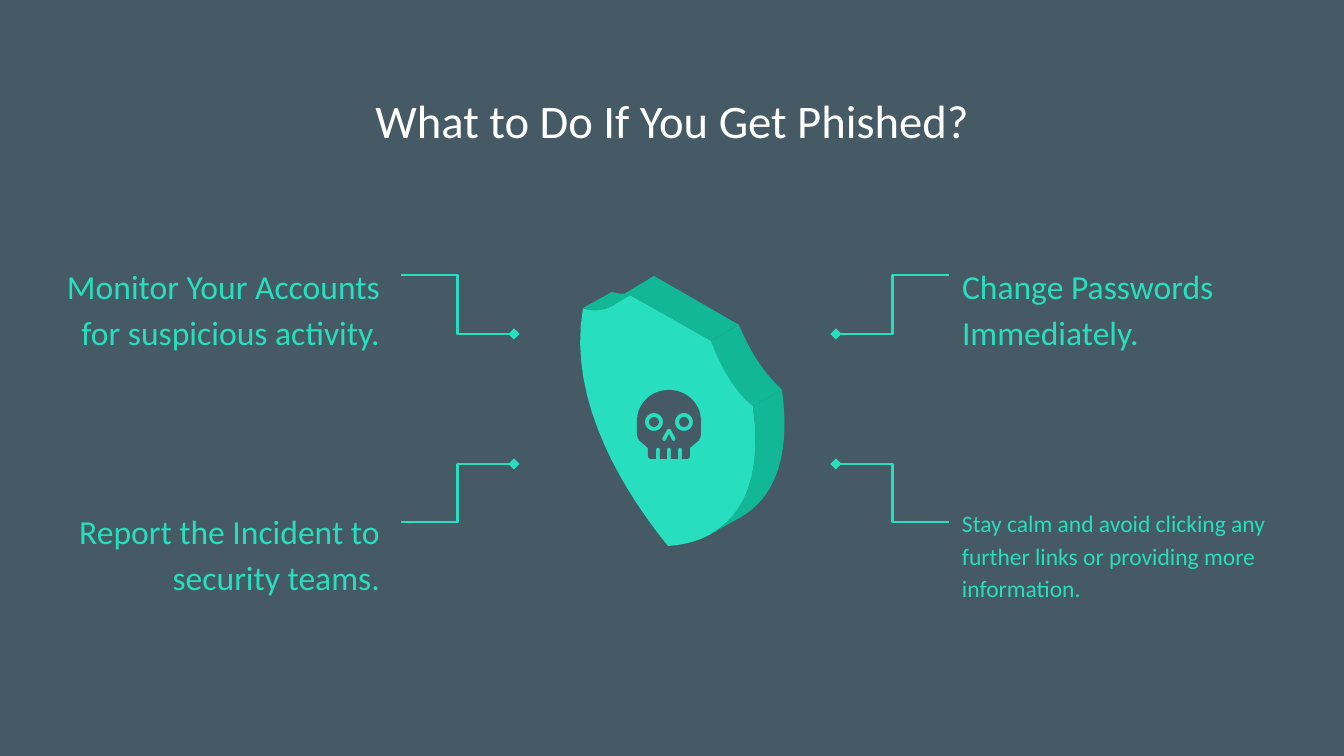
import math

import pptx
import pptx.dml.color
import pptx.enum.shapes
import pptx.enum.text
import pptx.oxml
import pptx.oxml.ns
import pptx.util

PX = 914400 / 134.4  # EMU in one px
FONT = "Calibri"
SLATE = pptx.dml.color.RGBColor(0x45, 0x5A, 0x64)
MINT = pptx.dml.color.RGBColor(0x27, 0xDE, 0xBF)
GREEN = pptx.dml.color.RGBColor(0x11, 0xB7, 0x97)
WHITE = pptx.dml.color.RGBColor(0xFF, 0xFF, 0xFF)
ALIGN = pptx.enum.text.PP_ALIGN
INSET = 13


def emu(*lengths):
    return [pptx.util.Emu(round(v * PX)) for v in lengths]


def paint(sp, color):
    sp.fill.solid()
    sp.fill.fore_color.rgb = color
    sp.line.fill.background()
    sp.shadow.inherit = False


def write(tf, text, size, color, align):
    tf.word_wrap = True
    tf.auto_size = pptx.enum.text.MSO_AUTO_SIZE.NONE
    tf.vertical_anchor = pptx.enum.text.MSO_ANCHOR.TOP
    (inset,) = emu(INSET)
    tf.margin_left = tf.margin_top = tf.margin_right = tf.margin_bottom = inset
    p = tf.paragraphs[0]
    p.text = text
    p.alignment = align
    p.font.name = FONT
    p.font.size = pptx.util.Pt(size)
    p.font.color.rgb = color
    return p


def flatten(steps, count=16):
    """Turn (x, y) lines and (x1, y1, x2, y2, x, y) curves into points."""
    points = [steps[0]]
    for step in steps[1:]:
        if len(step) == 2:
            points.append(step)
            continue
        knots = [points[-1], step[:2], step[2:4], step[4:]]
        for i in range(1, count + 1):
            t = i / count
            weights = ((1 - t) ** 3, 3 * t * (1 - t) ** 2, 3 * t * t * (1 - t), t ** 3)
            points.append(tuple(sum(w * k[axis] for w, k in zip(weights, knots))
                                for axis in (0, 1)))
    return points


def outline(s, left, top, contours, color):
    """Draw one filled shape; contours after the first are holes."""
    builder = None
    for steps in contours:
        points = [emu(left + x, top + y) for x, y in flatten(steps)]
        if builder is None:
            builder = s.shapes.build_freeform(*points[0], scale=1.0)
        else:
            builder.move_to(*points[0])
        builder.add_line_segments(points[1:], close=True)
    paint(builder.convert_to_shape(), color)


def add_title(s, box, text):
    title = s.shapes.title
    title.left, title.top, title.width, title.height = emu(*box)
    write(title.text_frame, text, 25, WHITE, ALIGN.CENTER).line_spacing = 1.0


def add_callout(s, box, text, size, align):
    tf = s.shapes.add_textbox(*emu(*box)).text_frame
    p = write(tf, text, size, MINT, align)
    p.line_spacing = 1.15
    p.space_after = pptx.util.Pt(12)


def add_elbow(s, start, end):
    line = s.shapes.add_connector(pptx.enum.shapes.MSO_CONNECTOR.ELBOW,
                                  *emu(*start, *end))
    line.line.color.rgb = MINT
    line.line.width = pptx.util.Pt(1.5)
    ns = pptx.oxml.ns.nsdecls("a")
    ln = line.line._get_or_add_ln()
    ln.append(pptx.oxml.parse_xml(f'<a:headEnd {ns} type="diamond"/>'))
    ln.addnext(pptx.oxml.parse_xml(f"<a:effectLst {ns}/>"))


def add_shield(s, left, top):
    # Corners shared by the faces
    notch, shoulder, back_shoulder = (46, 17), (131, 65), (159, 49)
    hip, back_hip = (173, 130), (202, 114)
    faces = [
        # Top edge
        ([(74, 0), notch, shoulder, back_shoulder], GREEN),
        # Shoulder edge
        ([back_shoulder, shoulder, (148, 112, 171, 129, *hip), back_hip,
          (201, 112, 178, 95, *back_shoulder)], GREEN),
        # Front
        ([notch, (36, 32, 23, 34, 15, 34), (9, 34, 3, 33, 3, 32),
          (-14, 127, 48, 221, 88, 270), (127, 268, 189, 244, *hip),
          (171, 129, 148, 112, *shoulder)], MINT),
        # Left lip
        ([(61, 13), (50, 18, 41, 19, 32, 16), (3, 32),
          (9, 35, 21, 36, 32, 30)], GREEN),
        # Right edge
        ([back_hip, hip, (183, 204, 161, 240, 132, 257), (161, 241),
          (190, 224, 212, 188, *back_hip)], GREEN),
    ]
    for steps, color in faces:
        outline(s, left, top, [steps], color)


def add_skull(s, left, top):
    eyes, eye_y, socket, pupil = (17, 47), 32, 9, 5
    head = [(32, 0), (14, 0, 0, 14, 0, 31), (0, 43), (0, 46, 1, 50, 4, 52),
            (11, 58), (11, 66), (11, 68, 13, 69, 14, 69)]
    for gap in (19, 30, 41):  # gaps between the teeth
        head += [(gap, 69), (gap, 60), (gap, 57, gap + 4, 57, gap + 4, 60),
                 (gap + 4, 69)]
    head += [(50, 69), (51, 69, 53, 68, 53, 66), (53, 58), (60, 52),
             (63, 50, 64, 46, 64, 43), (64, 31), (64, 14, 50, 0, 32, 0)]
    nose = [(32, 39), (33, 39, 34, 39, 34, 40), (38, 47), (40, 51, 36, 52, 35, 50),
            (32, 44), (29, 50), (28, 52, 24, 51, 26, 47), (30, 40),
            (30, 39, 31, 39, 32, 39)]
    angles = [math.radians(a) for a in range(0, 360, 10)]
    sockets = [[(x + socket * math.cos(a), eye_y + socket * math.sin(a))
                for a in angles] for x in eyes]
    outline(s, left, top, [head, nose, *sockets], SLATE)
    for x in eyes:
        box = emu(left + x - pupil, top + eye_y - pupil, 2 * pupil, 2 * pupil)
        paint(s.shapes.add_shape(pptx.enum.shapes.MSO_SHAPE.OVAL, *box), SLATE)


def main():
    prs = pptx.Presentation()
    prs.slide_width, prs.slide_height = emu(1344, 756)
    s = prs.slides.add_slide(prs.slide_layouts[5])
    s.background.fill.solid()
    s.background.fill.fore_color.rgb = SLATE

    add_title(s, (105, 79, 1134, 78), "What to Do If You Get Phished?")

    # Callouts on both sides
    callouts = [
        ((13, 247, 380, 130), "Monitor Your Accounts for suspicious activity.",
         18, ALIGN.RIGHT),
        ((13, 492, 380, 128), "Report the Incident to security teams.",
         18, ALIGN.RIGHT),
        ((949, 247, 362, 120), "Change Passwords Immediately.", 18, ALIGN.LEFT),
        ((949, 492, 345, 128), "Stay calm and avoid clicking any further links "
         "or providing more information.", 12.6, ALIGN.LEFT),
    ]
    for callout in callouts:
        add_callout(s, *callout)

    # Elbows from the shield out to each callout
    for inner_x, outer_x in ((514, 401), (836, 949)):
        for inner_y, outer_y in ((334, 275), (464, 522)):
            add_elbow(s, (inner_x, inner_y), (outer_x, outer_y))

    add_shield(s, 580, 276)
    add_skull(s, 637, 390)
    prs.save("out.pptx")


if __name__ == "__main__":
    main()
